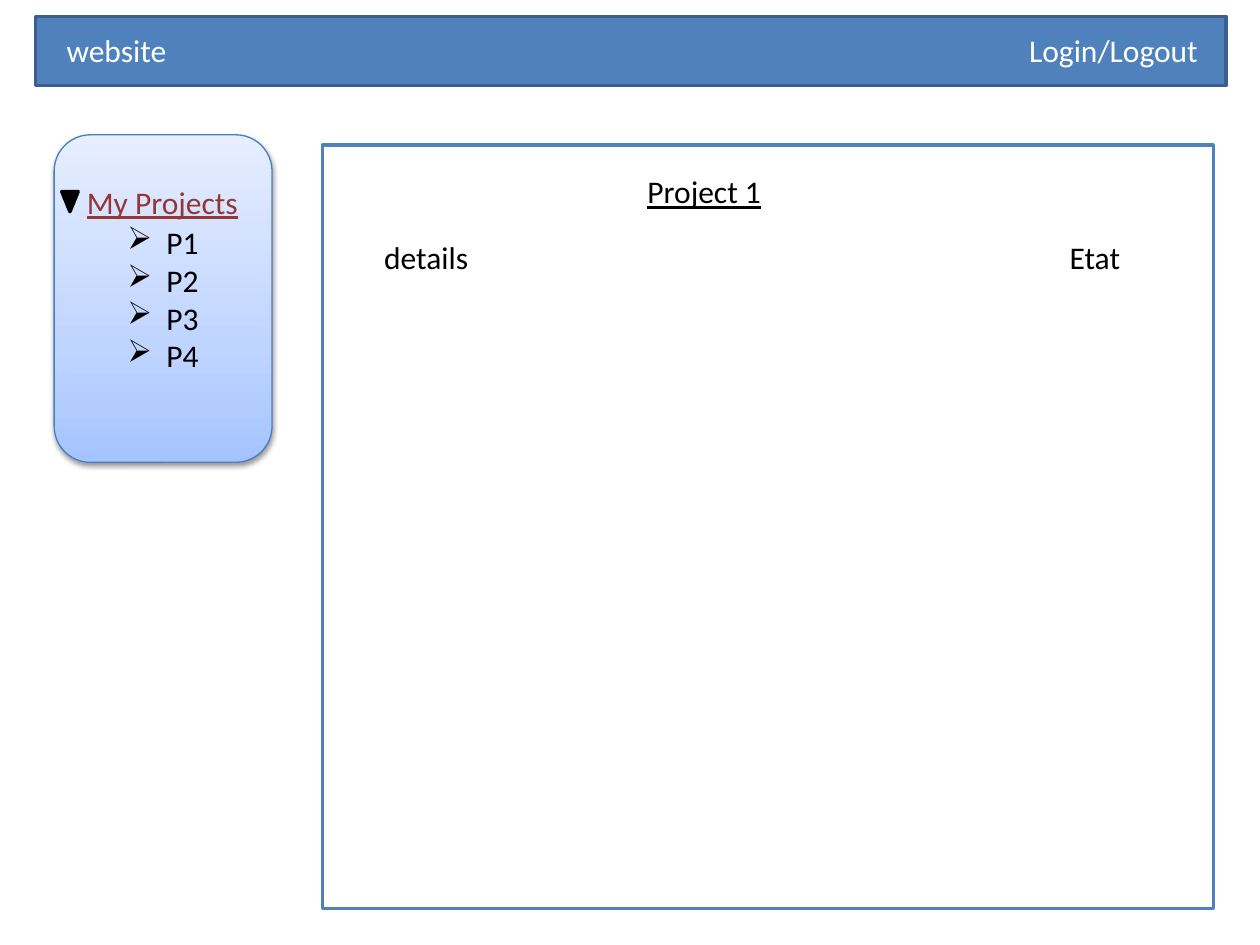
from dataclasses import dataclass
from typing import Optional

from copy import deepcopy
from lxml import etree
from pptx import Presentation
from pptx.dml.color import RGBColor
from pptx.enum.shapes import MSO_SHAPE
from pptx.enum.text import MSO_ANCHOR, MSO_AUTO_SIZE, PP_ALIGN
from pptx.oxml.ns import qn
from pptx.util import Inches, Pt

RECTANGLE = MSO_SHAPE.RECTANGLE
ROUNDED = MSO_SHAPE.ROUNDED_RECTANGLE
TRIANGLE = MSO_SHAPE.ISOSCELES_TRIANGLE
MIDDLE = MSO_ANCHOR.MIDDLE
CENTER = PP_ALIGN.CENTER
FIT_SHAPE = MSO_AUTO_SIZE.SHAPE_TO_FIT_TEXT

WHITE = RGBColor(0xFF, 0xFF, 0xFF)
BLACK = RGBColor(0, 0, 0)
BLUE = RGBColor(0x4F, 0x81, 0xBD)
DARK_BLUE = RGBColor(0x3A, 0x5F, 0x8C)
MENU_BLUE = RGBColor(0x4B, 0x7E, 0xBC)
DARK_RED = RGBColor(0x95, 0x37, 0x35)
MENU_GRADIENT = (
    (0, RGBColor(0xA4, 0xC4, 0xFF)),
    (0.35, RGBColor(0xBF, 0xD4, 0xFF)),
    (1, RGBColor(0xE6, 0xEE, 0xFF)),
)
FONT = "Calibri"
TEXT_SIZE = 18
PROJECTS = ("P1", "P2", "P3", "P4")


@dataclass
class Panel:
    kind: MSO_SHAPE
    left: float
    top: float
    width: float
    height: float
    line: RGBColor
    line_width: float = 2
    fill: Optional[RGBColor] = None
    rotation: float = 0


@dataclass
class Label:
    text: str
    left: float
    top: float
    width: float
    color: RGBColor = BLACK
    underline: bool = False


HEADER = Panel(RECTANGLE, 0.28, 0.13, 9.45, 0.55, DARK_BLUE, fill=BLUE)
MENU = Panel(ROUNDED, 0.43, 1.07, 1.73, 2.6, MENU_BLUE, 0.75)
MENU_ARROW = Panel(TRIANGLE, 0.49, 1.52, 0.13, 0.16, BLACK, fill=BLACK, rotation=180)
CONTENT = Panel(RECTANGLE, 2.56, 1.15, 7.07, 6.06, BLUE, fill=WHITE)

HEADER_LABELS = (
    Label("website", 0.43, 0.2, 1.05, WHITE),
    Label("Login/Logout", 8.07, 0.2, 1.56, WHITE),
)
MENU_TITLE = Label("My Projects", 0.59, 1.4, 1.41, DARK_RED, True)
CONTENT_LABELS = (
    Label("Project 1", 5.04, 1.32, 1.11, underline=True),
    Label("Etat", 8.39, 1.84, 0.61),
    Label("details", 2.95, 1.84, 0.88),
)


def add_span(para, text: str, color: RGBColor, underline: bool = False) -> None:
    span = para.add_run()
    span.text = text
    span.font.name = FONT
    span.font.size = Pt(TEXT_SIZE)
    span.font.color.rgb = color
    if underline:
        span.font.underline = True


def add_panel(page, panel: Panel):
    shape = page.shapes.add_shape(
        panel.kind, Inches(panel.left), Inches(panel.top),
        Inches(panel.width), Inches(panel.height))
    shape.shadow.inherit = False
    shape.rotation = panel.rotation
    shape.line.color.rgb = panel.line
    shape.line.width = Pt(panel.line_width)
    if panel.fill is not None:
        shape.fill.solid()
        shape.fill.fore_color.rgb = panel.fill
    return shape


def add_label(page, label: Label) -> None:
    box = page.shapes.add_textbox(
        Inches(label.left), Inches(label.top), Inches(label.width), Inches(0.4))
    frame = box.text_frame
    frame.word_wrap = False
    frame.auto_size = FIT_SHAPE
    add_span(frame.paragraphs[0], label.text, label.color, label.underline)


def shade_menu(shape) -> None:
    shape.fill.gradient()
    shape.fill.gradient_angle = 90
    stops = shape._element.spPr.find(qn("a:gradFill")).find(qn("a:gsLst"))
    stops.insert(1, deepcopy(stops[0]))
    for stop, (position, color) in zip(shape.fill.gradient_stops, MENU_GRADIENT):
        stop.position = position
        stop.color.rgb = color


def add_shadow(shape) -> None:
    effects = shape._element.spPr.find(qn("a:effectLst"))
    shadow = etree.SubElement(
        effects, qn("a:outerShdw"), blurRad=str(Pt(3.1)), dist=str(Pt(1.6)),
        dir="5400000", rotWithShape="0")
    color = etree.SubElement(shadow, qn("a:srgbClr"), val=str(BLACK))
    etree.SubElement(color, qn("a:alpha"), val="38000")


def add_bullet(para) -> None:
    properties = para._p.get_or_add_pPr()
    indent = Inches(0.31)
    properties.set("marL", str(indent))
    properties.set("indent", str(-indent))
    etree.SubElement(properties, qn("a:buChar"), char="\u27a2")


def add_menu(page) -> None:
    shape = add_panel(page, MENU)
    shade_menu(shape)
    add_shadow(shape)
    frame = shape.text_frame
    frame.vertical_anchor = MIDDLE
    for index, project in enumerate(PROJECTS):
        para = frame.add_paragraph() if index else frame.paragraphs[0]
        para.alignment = CENTER
        add_bullet(para)
        add_span(para, project, BLACK)


def main() -> None:
    deck = Presentation()
    deck.slide_width = Inches(10)
    deck.slide_height = Inches(7.5)
    page = deck.slides.add_slide(deck.slide_layouts[6])
    add_panel(page, HEADER)
    for label in HEADER_LABELS:
        add_label(page, label)
    add_menu(page)
    add_label(page, MENU_TITLE)
    add_panel(page, MENU_ARROW)
    add_panel(page, CONTENT)
    for label in CONTENT_LABELS:
        add_label(page, label)
    deck.save("out.pptx")


main()
